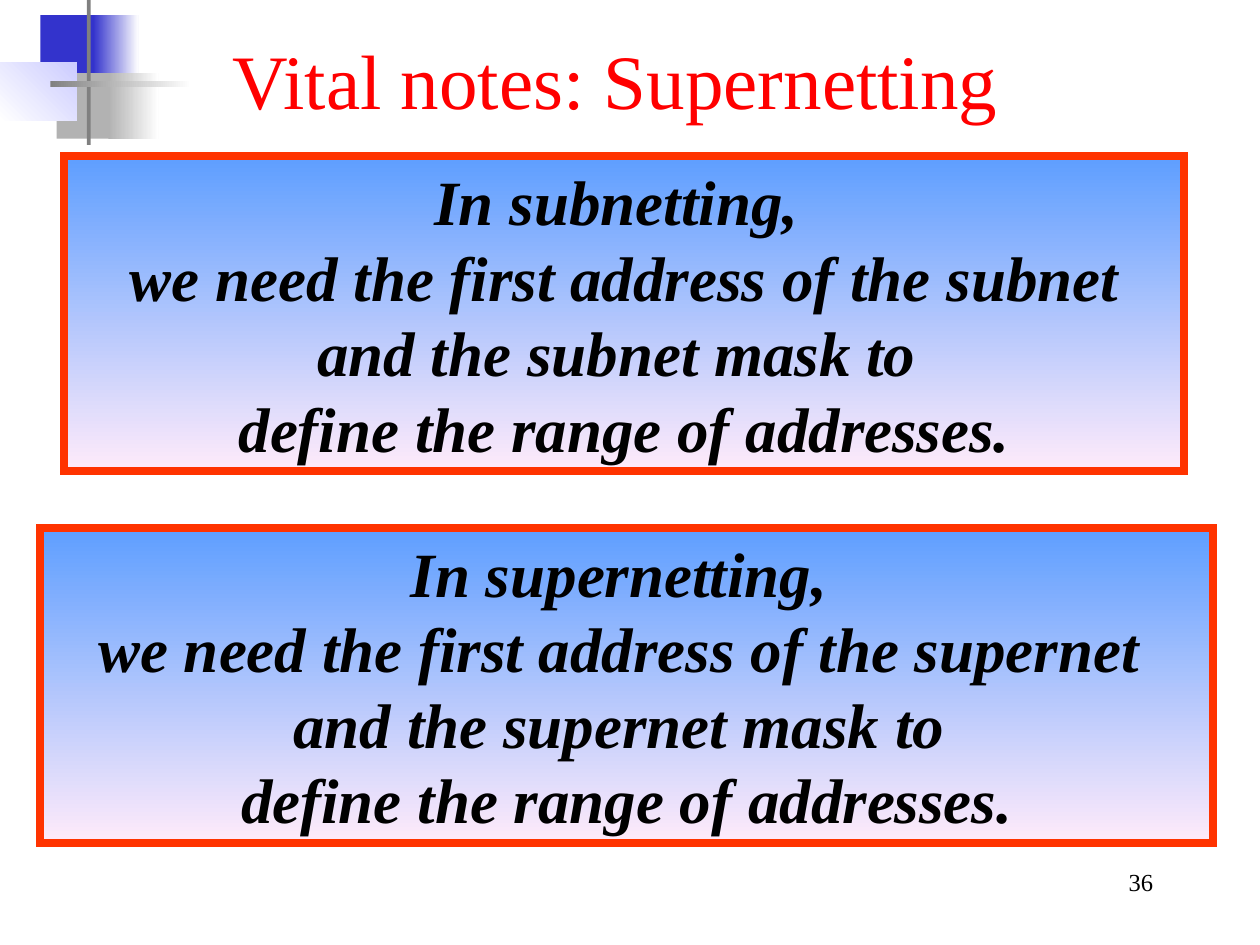
"""Build the slide comparing what subnetting and supernetting need."""
import lxml.etree
import pptx
import pptx.util
import pptx.dml.color
import pptx.enum.shapes
import pptx.enum.text
import pptx.oxml.ns

Inches = pptx.util.Inches
Pt = pptx.util.Pt
ALIGN = pptx.enum.text.PP_ALIGN
COLORS = {
    "white": "FFFFFF", "black": "000000", "title": "FF0000", "border": "FF3300",
    "blue": "3333CC", "silver": "B2B2B2", "lavender": "CCCCFF", "gray": "808080",
    "sky": "5E9EFF", "pink": "FFEBFA",
}


def add_panel(bounds, start, end=None, angle=0):
    panel = slide.shapes.add_shape(
        pptx.enum.shapes.MSO_SHAPE.RECTANGLE, *map(Inches, bounds))
    panel.shadow.inherit = False
    panel.line.fill.background()
    if end is None:
        panel.fill.solid()
        panel.fill.fore_color.rgb = pptx.dml.color.RGBColor.from_string(COLORS[start])
    else:
        panel.fill.gradient()
        panel.fill.gradient_angle = angle
        for stop, color in zip(panel.fill.gradient_stops, (start, end)):
            stop.color.rgb = pptx.dml.color.RGBColor.from_string(COLORS[color])
    return panel


def write(holder, text, size, color, align, anchor, bold=False, italic=False):
    frame = holder.text_frame
    frame.word_wrap = True
    frame.vertical_anchor = anchor
    paragraph = frame.paragraphs[0]
    paragraph.text = text
    paragraph.alignment = align
    paragraph.font.name = "Times New Roman"
    paragraph.font.size = Pt(size)
    paragraph.font.bold = bold
    paragraph.font.italic = italic
    paragraph.font.color.rgb = pptx.dml.color.RGBColor.from_string(COLORS[color])


deck = pptx.Presentation()
deck.slide_width, deck.slide_height = Inches(10), Inches(7.5)
slide = deck.slides.add_slide(deck.slide_layouts[6])

for ornament in (
    ((0.32, 0.12, 0.48, 0.52), "blue"),
    ((0.74, 0.12, 0.36, 0.52), "blue", "white"),
    ((0.45, 0.58, 0.46, 0.52), "silver"),
    ((0.86, 0.58, 0.4, 0.52), "silver", "white"),
    ((0, 0.5, 0.61, 0.46), "white", "lavender", 45),
    ((0.69, 0, 0.03, 1.15), "gray"),
    ((0.4, 0.64, 1.12, 0.05), "gray", "white"),
):
    add_panel(*ornament)

page_number = slide.shapes.add_textbox(Inches(7.17), Inches(6.83), Inches(2.08), Inches(0.5))
write(page_number, "36", 14, "black", ALIGN.RIGHT, pptx.enum.text.MSO_ANCHOR.TOP)

notes = (
    ((0.51, 1.24, 8.89, 2.5),
     "In subnetting, \vwe need the first address of the subnet "
     "and the subnet mask to \vdefine the range of addresses."),
    ((0.32, 4.19, 9.31, 2.5),
     "In supernetting, \vwe need the first address of the supernet \v"
     "and the supernet mask to \vdefine the range of addresses."),
)
for bounds, text in notes:
    note = add_panel(bounds, "sky", "pink", 270)
    note.line.color.rgb = pptx.dml.color.RGBColor.from_string(COLORS["border"])
    note.line.width = Pt(4.5)
    border = note.element.spPr.find(pptx.oxml.ns.qn("a:ln"))
    lxml.etree.SubElement(border, pptx.oxml.ns.qn("a:miter"), lim="800000")
    write(note, text, 36, "black", ALIGN.CENTER,
          pptx.enum.text.MSO_ANCHOR.TOP, bold=True, italic=True)

title = slide.shapes.add_textbox(Inches(0.47), Inches(0), Inches(8.83), Inches(1.25))
write(title, "Vital notes: Supernetting", 44, "title", ALIGN.CENTER,
      pptx.enum.text.MSO_ANCHOR.MIDDLE)

deck.save("out.pptx")
